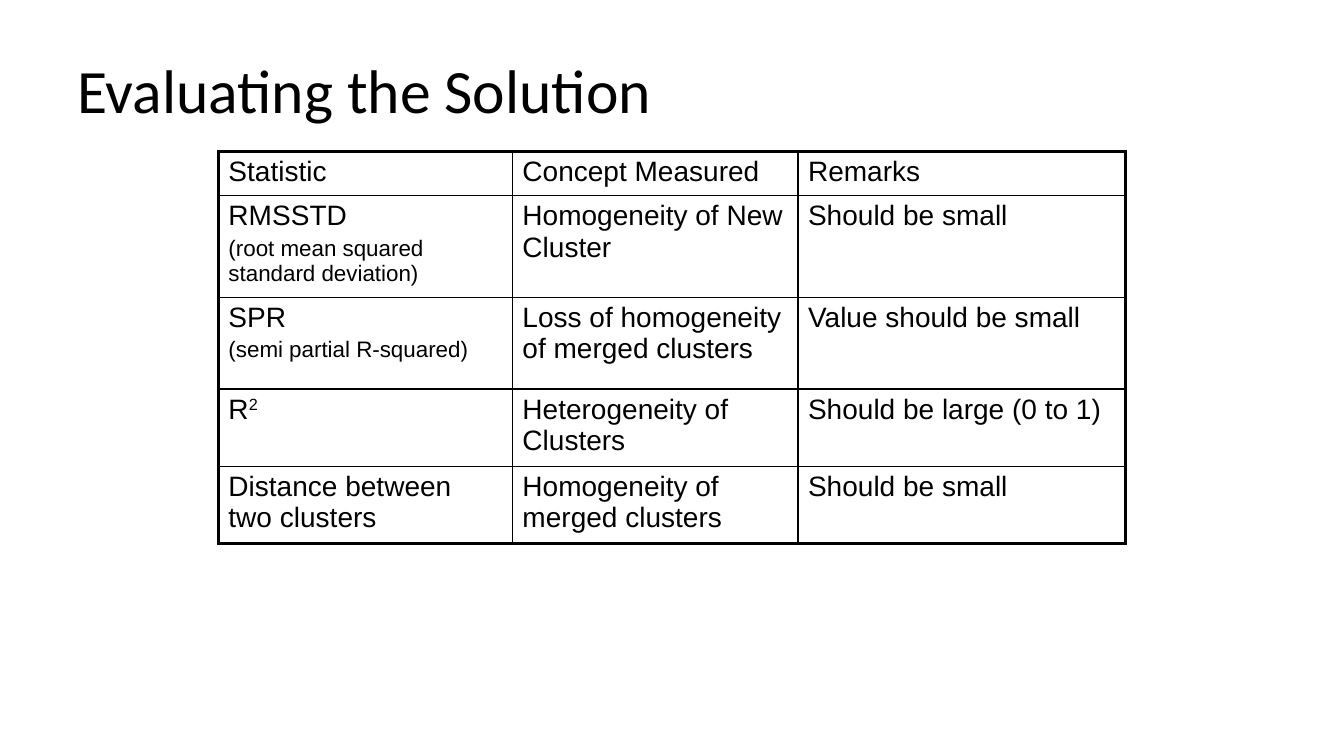
from dataclasses import dataclass

from lxml import etree
from pptx import Presentation
from pptx.dml.color import RGBColor
from pptx.enum.text import MSO_ANCHOR
from pptx.oxml.ns import qn
from pptx.util import Inches, Pt

BLACK = RGBColor(0, 0, 0)
MIDDLE = MSO_ANCHOR.MIDDLE
WIDE, HIGH = Inches(13.33), Inches(7.5)
COL, ROW = WIDE / 160, HIGH / 150
THICK, THIN = Pt(2.25), Pt(1)
WIDTHS = (35, 34, 39)
HEIGHTS = (8.8, 19.6, 18.2, 15, 15)


@dataclass(frozen=True)
class Piece:
    text: str
    size: int = 20
    font: str = "Arial"
    raised: bool = False


@dataclass(frozen=True)
class Entry:
    name: str
    concept: str
    remark: str
    power: str = ""
    detail: str = ""


ENTRIES = (
    Entry("Statistic", "Concept Measured", "Remarks"),
    Entry("RMSSTD", "Homogeneity of New Cluster", "Should be small",
          detail="(root mean squared standard deviation)"),
    Entry("SPR", "Loss of homogeneity of merged clusters",
          "Value should be small", detail="(semi partial R-squared)"),
    Entry("R", "Heterogeneity of Clusters", "Should be large (0 to 1)",
          power="2"),
    Entry("Distance between two clusters", "Homogeneity of merged clusters",
          "Should be small"),
)


def write(para, piece: Piece) -> None:
    run = para.add_run()
    run.text = piece.text
    run.font.size = Pt(piece.size)
    run.font.name = piece.font
    run.font.color.rgb = BLACK
    if piece.raised:
        run._r.get_or_add_rPr().set("baseline", "30000")


def border(cell, side: str, width: int) -> None:
    props = cell._tc.get_or_add_tcPr()
    line = etree.SubElement(props, qn(f"a:ln{side}"), w=str(width))
    fill = etree.SubElement(line, qn("a:solidFill"))
    etree.SubElement(fill, qn("a:srgbClr"), val=str(BLACK))


def draw_title(slide, text: str) -> None:
    box = slide.shapes.add_textbox(
        round(8 * COL), round(6 * ROW), round(144 * COL), round(25 * ROW))
    frame = box.text_frame
    frame.word_wrap = True
    frame.vertical_anchor = MIDDLE
    para = frame.paragraphs[0]
    para.line_spacing = 0.9
    write(para, Piece(text, 44, "Calibri"))


def fill_cell(cell, text: str, power: str = "", detail: str = "") -> None:
    frame = cell.text_frame
    para = frame.paragraphs[0]
    write(para, Piece(text))
    if power:
        write(para, Piece(power, raised=True))
    if detail:
        para = frame.add_paragraph()
        para.space_before = Pt(3)
        write(para, Piece(detail, 16))


def draw_table(slide, entries: tuple[Entry, ...]) -> None:
    table = slide.shapes.add_table(
        len(entries), len(WIDTHS), round(26 * COL), round(30 * ROW),
        round(sum(WIDTHS) * COL), round(sum(HEIGHTS) * ROW)).table
    table.first_row = table.horz_banding = False
    for col, width in zip(table.columns, WIDTHS):
        col.width = round(width * COL)
    for row, height in zip(table.rows, HEIGHTS):
        row.height = round(height * ROW)
    last_row, last_col = len(entries) - 1, len(WIDTHS) - 1
    for r, entry in enumerate(entries):
        fill_cell(table.cell(r, 0), entry.name, entry.power, entry.detail)
        fill_cell(table.cell(r, 1), entry.concept)
        fill_cell(table.cell(r, 2), entry.remark)
        for c in range(len(WIDTHS)):
            cell = table.cell(r, c)
            edges = {"L": c == 0, "R": c == last_col,
                     "T": r == 0, "B": r == last_row}
            for side, outer in edges.items():
                border(cell, side, THICK if outer else THIN)
            cell.fill.background()


deck = Presentation()
deck.slide_width, deck.slide_height = WIDE, HIGH
page = deck.slides.add_slide(deck.slide_layouts[6])
draw_title(page, "Evaluating the Solution")
draw_table(page, ENTRIES)
deck.save("out.pptx")
